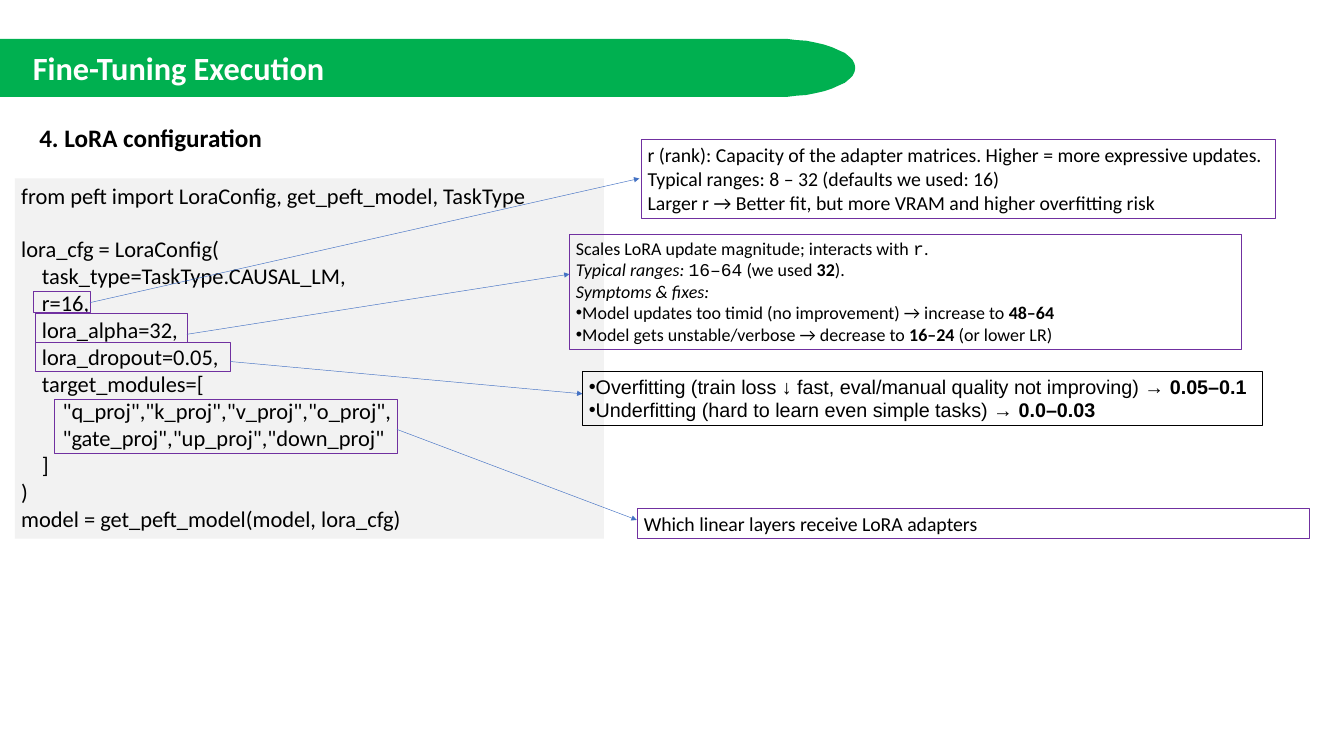
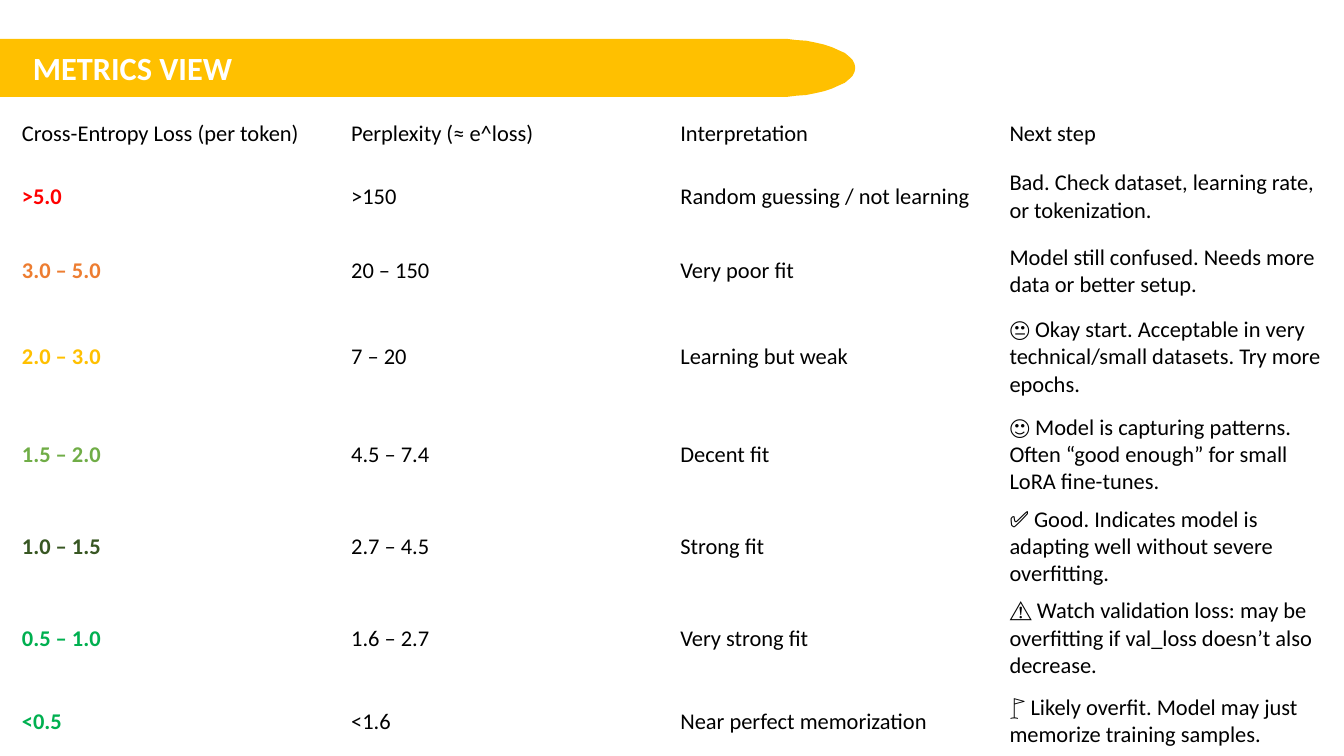
from math import cos, pi, sin

from lxml.etree import SubElement
from pptx import Presentation
from pptx.dml.color import RGBColor
from pptx.enum.shapes import MSO_CONNECTOR, MSO_SHAPE
from pptx.enum.text import MSO_ANCHOR, PP_ALIGN
from pptx.oxml.ns import qn
from pptx.util import Pt

PX = 9144  # EMU per px: 100 px to the inch
BLACK, WHITE, GREEN, AMBER = "000000", "FFFFFF", "00B050", "FFC000"
PURPLE, BLUE, GREY = "7030A0", "4472C4", "F2F2F2"
BOLD, ITALIC, MONO = {"bold": True}, {"italic": True}, {"font": "Courier New"}

# Lines of code as (indent level, text)
CODE = [
    (0, "from peft import LoraConfig, get_peft_model, TaskType"),
    (0, "lora_cfg = LoraConfig("),
    (1, "task_type=TaskType.CAUSAL_LM,"),
    (1, "r=16,"),
    (1, "lora_alpha=32,"),
    (1, "lora_dropout=0.05,"),
    (1, "target_modules=["),
    (2, '"q_proj","k_proj","v_proj","o_proj",'),
    (2, '"gate_proj","up_proj","down_proj"'),
    (1, "]"),
    (0, ")"),
    (0, "model = get_peft_model(model, lora_cfg)"),
]

# Each setting: marked code, arrow, note box, then note paragraphs and format
RANK = [
    "r (rank): Capacity of the adapter matrices. Higher = more expressive updates.",
    "Typical ranges: 8 – 32 (defaults we used: 16)",
    "Larger r → Better fit, but more VRAM and higher overfitting risk",
]
ALPHA = [
    ["Scales LoRA update magnitude; interacts with ", ("r", MONO), "."],
    [("Typical ranges: ", ITALIC), ("16–64", MONO), " (we used ", ("32", BOLD), ")."],
    [("Symptoms & fixes:", ITALIC)],
    ["Model updates too timid (no improvement) → increase to ", ("48–64", BOLD)],
    ["Model gets unstable/verbose → decrease to ", ("16–24", BOLD), " (or lower LR)"],
]
DROPOUT = [
    ["Overfitting (train loss ↓ fast, eval/manual quality not improving) → ",
     ("0.05–0.1", BOLD)],
    ["Underfitting (hard to learn even simple tasks) → ", ("0.0–0.03", BOLD)],
]
LAYERS = ["Which linear layers receive LoRA adapters"]
SETTINGS = [
    ((51, 451, 89, 33), (139, 468, 989, 276), (992, 216, 981, 121), RANK, {}),
    ((55, 485, 235, 45), (289, 517, 881, 424), (881, 362, 1039, 178), ALPHA,
     {"size": 20, "bullets_from": 3}),
    ((55, 530, 301, 45), (356, 559, 901, 609), (901, 574, 1051, 84), DROPOUT,
     {"line": BLACK, "font": "Arial", "bullets_from": 0}),
    ((85, 617, 530, 84), (614, 664, 985, 804), (986, 786, 1039, 47), LAYERS, {}),
]

HEADER = ["Cross-Entropy Loss (per token)", "Perplexity (≈ e^loss)",
          "Interpretation", "Next step"]
# Row height, loss colour, cells
LOSS_ROWS = [
    (115, "FF0000", [">5.0", ">150", "Random guessing / not learning",
                     "Bad. Check dataset, learning rate, or tokenization."]),
    (115, "ED7D31", ["3.0 – 5.0", "20 – 150", "Very poor fit",
                     "Model still confused. Needs more data or better setup."]),
    (151, AMBER, ["2.0 – 3.0", "7 – 20", "Learning but weak",
                  "😐 Okay start. Acceptable in very technical/small datasets. "
                  "Try more epochs."]),
    (151, "70AD47", ["1.5 – 2.0", "4.5 – 7.4", "Decent fit",
                     "🙂 Model is capturing patterns. Often “good enough” for "
                     "small LoRA fine-tunes."]),
    (133, "385723", ["1.0 – 1.5", "2.7 – 4.5", "Strong fit",
                     "✅ Good. Indicates model is adapting well without severe "
                     "overfitting."]),
    (151, GREEN, ["0.5 – 1.0", "1.6 – 2.7", "Very strong fit",
                  "⚠️ Watch validation loss: may be overfitting if val_loss "
                  "doesn’t also decrease."]),
    (106, GREEN, ["<0.5", "<1.6", "Near perfect memorization",
                  "🚩 Likely overfit. Model may just memorize training samples."]),
]


def rgb(color):
    return RGBColor.from_string(color)


def px(*lengths):
    return [n * PX for n in lengths]


def write(p, text, size=25, font="Calibri", color=BLACK, bold=False, italic=False):
    r = p.add_run()
    r.text = text
    f = r.font
    f.size, f.name, f.bold, f.italic = Pt(size), font, bold, italic
    f.color.rgb = rgb(color)


def paragraph(tf, index):
    p = tf.add_paragraph() if index else tf.paragraphs[0]
    p.alignment = PP_ALIGN.LEFT
    return p


class Deck:
    def __init__(self, width, height):
        self.prs = Presentation()
        self.prs.slide_width, self.prs.slide_height = px(width, height)
        self.s = None

    def slide(self, title, color):
        """Start a slide with its title band."""
        self.s = self.prs.slides.add_slide(self.prs.slide_layouts[6])
        self.band(color)
        tf = self.text(51, 74, 1197, 62, title, size=36, color=WHITE, bold=True)
        tf.margin_left = tf.margin_right = tf.margin_bottom = 0
        tf.margin_top = PX
        tf.paragraphs[0].space_before = Pt(1)

    def band(self, color, right=1200, middle=105, rx=123, ry=45, steps=24):
        angles = [pi * (i / steps - 0.5) for i in range(steps + 1)]
        arc = [(right + rx * cos(a), middle + ry * sin(a)) for a in angles]
        outline = self.s.shapes.build_freeform(0, middle - ry, scale=float(PX))
        outline.add_line_segments(arc + [(0, middle + ry)], close=True)
        self.style(outline.convert_to_shape(), fill=color)

    def style(self, sp, fill=None, line=None, width=0.75):
        sp.shadow.inherit = False
        if fill:
            sp.fill.solid()
            sp.fill.fore_color.rgb = rgb(fill)
        else:
            sp.fill.background()
        if line:
            sp.line.color.rgb = rgb(line)
            sp.line.width = Pt(width)
        else:
            sp.line.fill.background()

    def box(self, x, y, w, h, **look):
        sp = self.s.shapes.add_shape(MSO_SHAPE.RECTANGLE, *px(x, y, w, h))
        self.style(sp, **look)
        tf = sp.text_frame
        tf.word_wrap = True
        tf.vertical_anchor = MSO_ANCHOR.TOP
        return tf

    def text(self, x, y, w, h, text, **fmt):
        tf = self.s.shapes.add_textbox(*px(x, y, w, h)).text_frame
        tf.word_wrap = True
        write(tf.paragraphs[0], text, **fmt)
        return tf

    def code(self, x, y, w, h, lines, gap_before):
        """Code panel with a one-line gap before the line numbered gap_before."""
        tf = self.box(x, y, w, h, fill=GREY)
        for i, (level, text) in enumerate(lines):
            p = paragraph(tf, i)
            p._p.get_or_add_pPr().set("marL", str(level * 32 * PX))
            if i == gap_before:
                p.space_before = Pt(30)
            write(p, text)

    def note(self, x, y, w, h, lines, line=PURPLE, size=22, font="Calibri",
             bullets_from=None):
        tf = self.box(x, y, w, h, line=line)
        for i, parts in enumerate(lines):
            p = paragraph(tf, i)
            if bullets_from is not None and i >= bullets_from:
                pPr = p._p.get_or_add_pPr()
                SubElement(pPr, qn("a:buFont")).set("typeface", "Arial")
                SubElement(pPr, qn("a:buChar")).set("char", "•")
            for part in [parts] if isinstance(parts, str) else parts:
                text, fmt = (part, {}) if isinstance(part, str) else part
                write(p, text, **{"size": size, "font": font, **fmt})

    def arrow(self, x1, y1, x2, y2):
        c = self.s.shapes.add_connector(MSO_CONNECTOR.STRAIGHT, *px(x1, y1, x2, y2))
        c.line.color.rgb = rgb(BLUE)
        c.line.width = Pt(0.5)
        SubElement(c.line._get_or_add_ln(), qn("a:tailEnd")).set("type", "triangle")
        SubElement(c._element.spPr, qn("a:effectLst"))

    def table(self, x, y, w, rows):
        """Plain table from rows of (height, first column format, cells)."""
        h = sum(row[0] for row in rows)
        frame = self.s.shapes.add_table(len(rows), len(rows[0][2]), *px(x, y, w, h))
        t = frame.table
        t.first_row = t.horz_banding = False
        for i, (height, first, cells) in enumerate(rows):
            t.rows[i].height = height * PX
            for j, text in enumerate(cells):
                cell = t.cell(i, j)
                cell.fill.background()
                cell.vertical_anchor = MSO_ANCHOR.MIDDLE
                cell.margin_left = cell.margin_right = 6 * PX
                cell.margin_top = cell.margin_bottom = 3 * PX
                write(cell.text_frame.paragraphs[0], text, **({} if j else first))


def main():
    deck = Deck(2079, 1169)

    # LoRA configuration: code on the left, notes on the right
    deck.slide("Fine-Tuning Execution", GREEN)
    deck.text(51, 185, 450, 57, "4. LoRA configuration", size=28, bold=True)
    deck.code(23, 276, 911, 557, CODE, gap_before=1)
    for mark, arrow, place, lines, fmt in SETTINGS:
        deck.box(*mark, line=PURPLE, width=1)
        deck.arrow(*arrow)
        deck.note(*place, lines, **fmt)

    # Loss table
    deck.slide("METRICS VIEW", AMBER)
    rows = [(h, {"color": c, "bold": True}, cells) for h, c, cells in LOSS_ROWS]
    deck.table(28, 168, 2037, [(79, {}, HEADER)] + rows)

    deck.prs.save("out.pptx")


if __name__ == "__main__":
    main()
